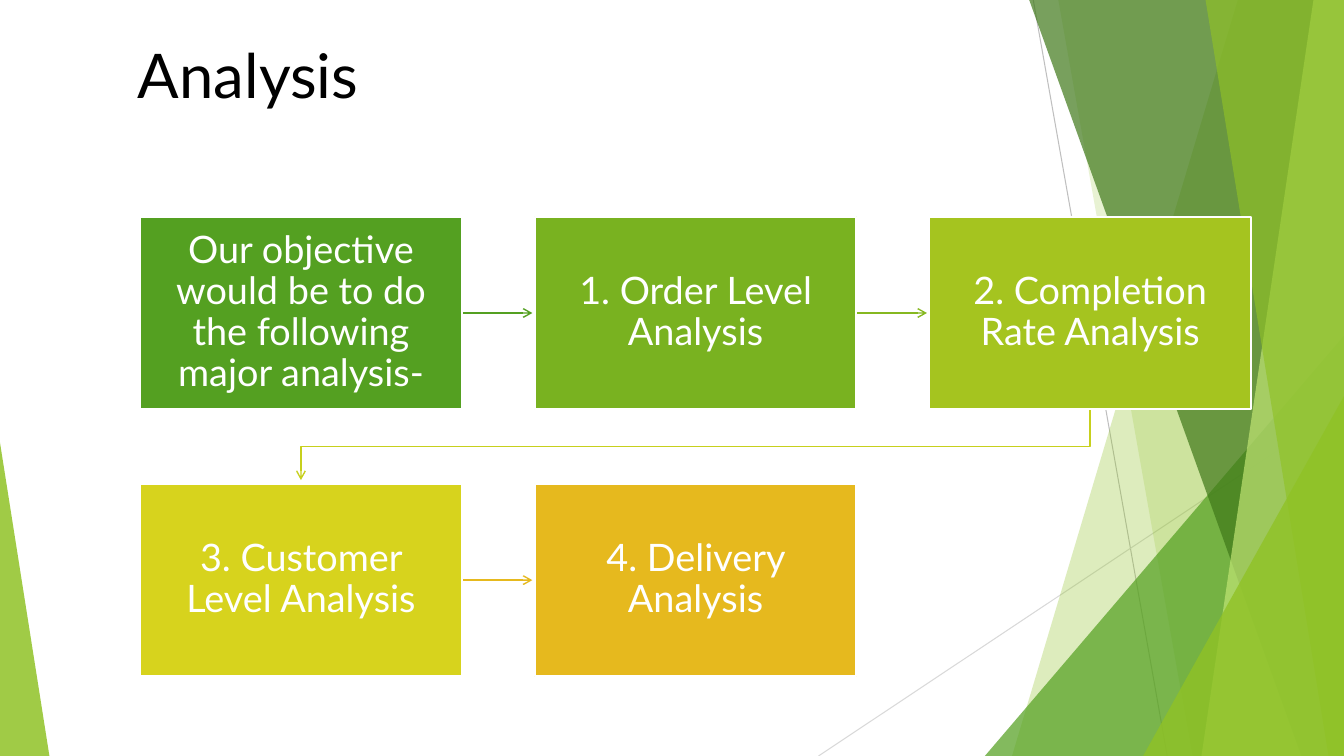
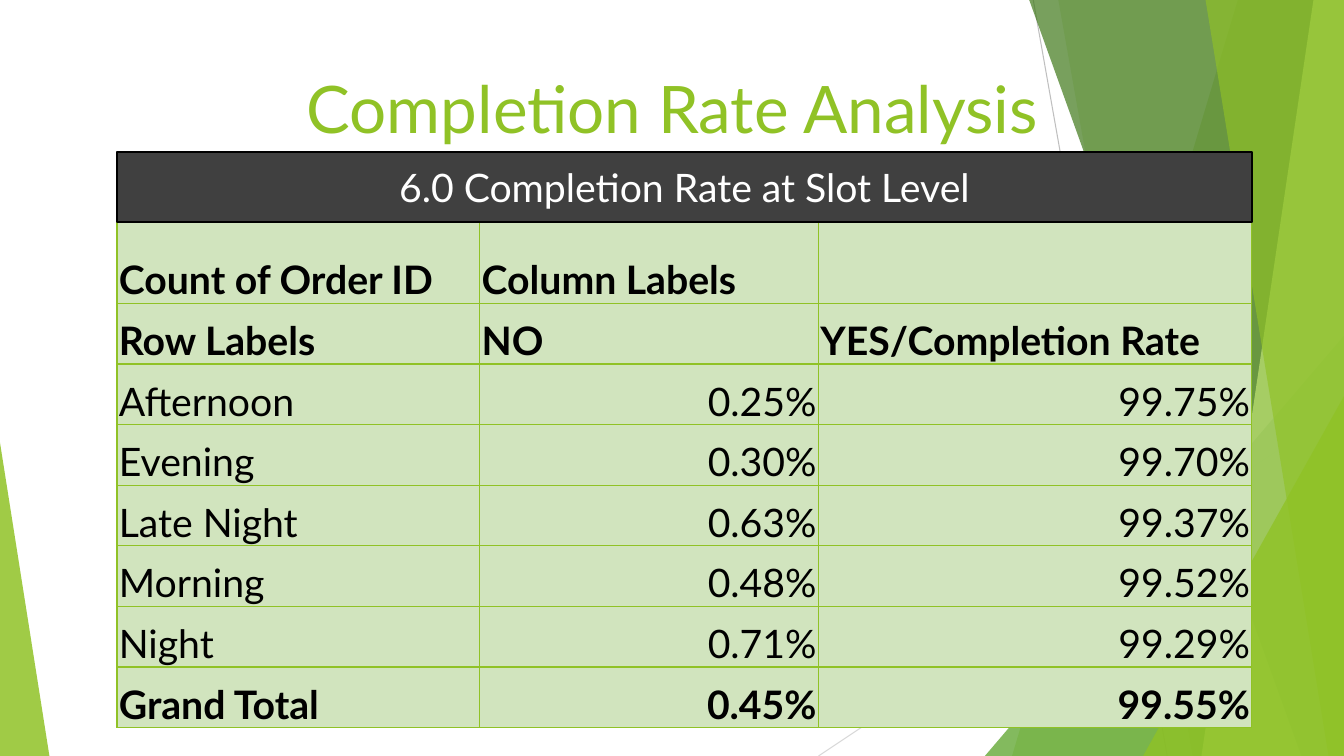
"""Build two slides: an analysis flow and a completion rate table."""
from dataclasses import dataclass

from lxml.etree import SubElement as Sub
from pptx import Presentation
from pptx.dml.color import RGBColor as Rgb
from pptx.enum.shapes import MSO_CONNECTOR as Link, MSO_SHAPE as Form
from pptx.enum.text import MSO_ANCHOR as Anchor, PP_ALIGN as Align
from pptx.oxml.ns import qn
from pptx.util import Inches, Pt


@dataclass(frozen=True)
class Theme:
    """Hold the colours, font and type sizes."""
    font: str = "Lato"
    head: float = 44
    title: float = 46.8
    step: float = 27
    grid: float = 28
    white: str = "FFFFFF"
    black: str = "000000"
    lime: str = "90C226"
    green: str = "54A021"
    moss: str = "3F7819"
    pale: str = "C0E474"
    cell: str = "D1E4BE"
    band: str = "404040"
    rays: tuple = ("BFBFBF", "D9D9D9")
    boxes: tuple = ("54A021", "79B220", "A5C41F", "D7D31D", "E6B91E")
    links: tuple = ("54A021", "86B820", "C7D01D", "E6B91E")


T = Theme()
WIDE, HIGH = Inches(13.333), Inches(7.5)

STEPS = (
    "Our objective would be to do the following major analysis-",
    "1. Order Level Analysis",
    "2. Completion Rate Analysis",
    "3. Customer Level Analysis",
    "4. Delivery Analysis",
)
RATES = (
    ("Count of Order ID", "Column Labels", ""),
    ("Row Labels", "NO", "YES/Completion Rate"),
    ("Afternoon", "0.25%", "99.75%"),
    ("Evening", "0.30%", "99.70%"),
    ("Late Night", "0.63%", "99.37%"),
    ("Morning", "0.48%", "99.52%"),
    ("Night", "0.71%", "99.29%"),
    ("Grand Total", "0.45%", "99.55%"),
)


def across(share):
    """Turn a percentage of the slide width into a length."""
    return round(WIDE * share / 100)


def down(share):
    """Turn a percentage of the slide height into a length."""
    return round(HIGH * share / 100)


def place(left, top, width, height):
    """Turn a box in percentages into lengths."""
    return across(left), down(top), across(width), down(height)


def write(frame, text, size, ink, align=Align.LEFT, bold=False):
    """Set one styled paragraph in a text frame."""
    frame.text = text
    para = frame.paragraphs[0]
    para.alignment = align
    for run in para.runs:
        font = run.font
        font.name, font.size, font.bold = T.font, Pt(size), bold
        font.color.rgb = Rgb.from_string(ink)
    return para


def paint(shape, fill, alpha=100, edge=None):
    """Give a shape its fill, opacity and edge."""
    shape.shadow.inherit = False
    shape.fill.solid()
    shape.fill.fore_color.rgb = Rgb.from_string(fill)
    if alpha < 100:
        tint = next(shape._element.spPr.iter(qn("a:srgbClr")))
        Sub(tint, qn("a:alpha"), val=str(alpha * 1000))
    if edge:
        shape.line.color.rgb = Rgb.from_string(edge)
        shape.line.width = Pt(1.5)
    else:
        shape.line.fill.background()


def stroke(shape, ink, width, arrow=False):
    """Style a line, with an arrowhead at its end if asked."""
    shape.line.color.rgb = Rgb.from_string(ink)
    shape.line.width = Pt(width)
    props = shape._element.spPr
    if arrow:
        Sub(props.find(qn("a:ln")), qn("a:tailEnd"), type="arrow")
    if props.find(qn("a:effectLst")) is None:
        Sub(props, qn("a:effectLst"))


def line(slide, start, end, ink, width, arrow=False):
    """Draw a straight line between two points."""
    ends = across(start[0]), down(start[1]), across(end[0]), down(end[1])
    stroke(slide.shapes.add_connector(Link.STRAIGHT, *ends), ink, width, arrow)


def outline(slide, points, close=True):
    """Draw a freeform through points given in percentages."""
    first, *rest = [(across(x), down(y)) for x, y in points]
    form = slide.shapes.build_freeform(*first)
    form.add_line_segments(rest, close=close)
    return form.convert_to_shape()


def wedge(slide, top, foot, fill, alpha):
    """Draw a full-height facet that ends at the right edge."""
    points = (top, 0), (100, 0), (100, 100), (foot, 100)
    paint(outline(slide, points), fill, alpha)


def peak(slide, left, top, width, tip, fill, alpha):
    """Draw a triangle that stands on the bottom edge."""
    box = place(left, top, width, 100 - top)
    shape = slide.shapes.add_shape(Form.ISOSCELES_TRIANGLE, *box)
    shape.adjustments[0] = tip
    paint(shape, fill, alpha)


def facets(slide):
    """Draw the rays and facets that all slides share."""
    line(slide, (76.88, 0), (86.85, 100), T.rays[0], 0.75)
    line(slide, (100, 53.73), (60.9, 100), T.rays[1], 0.75)
    wedge(slide, 92.1, 75.3, T.lime, 30)
    wedge(slide, 78.75, 88.73, T.lime, 20)
    peak(slide, 73.28, 44.4, 26.72, 1, T.green, 72)
    wedge(slide, 76.58, 96.83, T.moss, 70)
    wedge(slide, 97.73, 89.4, T.pale, 70)
    wedge(slide, 89.7, 98.85, T.lime, 65)
    peak(slide, 85.05, 52.4, 14.95, 1, T.lime, 80)
    peak(slide, 0, 58.53, 3.68, 0, T.lime, 85)


def title(slide, box, text, size, ink, align, anchor):
    """Write the slide title."""
    frame = slide.shapes.add_textbox(*place(*box)).text_frame
    frame.word_wrap = True
    frame.vertical_anchor = anchor
    write(frame, text, size, ink, align)


def block(slide, box, text, size, fill, edge):
    """Draw a filled box with centred text."""
    shape = slide.shapes.add_shape(Form.RECTANGLE, *place(*box))
    paint(shape, fill, edge=edge)
    frame = shape.text_frame
    frame.word_wrap = True
    frame.vertical_anchor = Anchor.MIDDLE
    para = write(frame, text, size, T.white, Align.CENTER)
    return frame, para


def flow(slide):
    """Lay the steps out in rows of three, joined by arrows."""
    width, height, reach = 23.93, 25.47, 5.25
    spots = [(10.43 + 29.36 * (i % 3), 28.67 + 35.33 * (i // 3))
             for i in range(len(STEPS))]
    for i, (left, top) in enumerate(spots):
        if i < len(T.links):
            ink = T.links[i]
            after, below = spots[i + 1]
            if below == top:
                edge, mid = left + width, top + height / 2
                line(slide, (edge, mid), (edge + reach, mid), ink, 1, True)
            else:
                base, near, far = top + height, left + width / 2, after + width / 2
                turn = base + (below - base) / 2
                bend = outline(slide, ((near, base), (near, turn), (far, turn),
                                       (far, below - 0.5)), close=False)
                bend.fill.background()
                stroke(bend, ink, 1, True)
        frame, para = block(slide, (left, top, width, height), STEPS[i],
                            T.step, T.boxes[i], T.white)
        frame.margin_left = frame.margin_right = Inches(0.16)
        frame.margin_top = frame.margin_bottom = Inches(0.16)
        para.line_spacing = 0.9


def border(cell):
    """Rule all four sides of a table cell."""
    props = cell._tc.get_or_add_tcPr()
    for side in "LRTB":
        rule = Sub(props, qn(f"a:ln{side}"), w=str(Pt(1)))
        Sub(Sub(rule, qn("a:solidFill")), qn("a:srgbClr"), val=T.lime)


def table(slide, left, top, cols, rows, data):
    """Draw a ruled table with bold heads and total."""
    box = place(left, top, sum(cols), sum(rows))
    grid = slide.shapes.add_table(len(rows), len(cols), *box).table
    grid.first_row = grid.horz_banding = False
    for col, share in zip(grid.columns, cols):
        col.width = across(share)
    for r, (row, share) in enumerate(zip(grid.rows, rows)):
        row.height = down(share)
        for c, cell in enumerate(row.cells):
            border(cell)
            cell.fill.solid()
            cell.fill.fore_color.rgb = Rgb.from_string(T.cell)
            cell.margin_left = cell.margin_right = cell.margin_top = Inches(0.02)
            cell.margin_bottom = 0
            cell.vertical_anchor = Anchor.BOTTOM
            align = Align.RIGHT if c and r > 1 else Align.LEFT
            bold = r < 2 or r == len(data) - 1
            write(cell.text_frame, data[r][c], T.grid, T.black, align, bold)


def main():
    """Build and save the deck."""
    deck = Presentation()
    deck.slide_width, deck.slide_height = WIDE, HIGH
    plan, rates = (deck.slides.add_slide(deck.slide_layouts[6]) for _ in range(2))
    for slide in (plan, rates):
        facets(slide)

    flow(plan)
    title(plan, (9.53, 4.27, 50.48, 11.2), "Analysis", T.head, T.black,
          Align.LEFT, Anchor.TOP)

    title(rates, (6.9, 8.13, 86.25, 12), "Completion Rate Analysis", T.title,
          T.lime, Align.CENTER, Anchor.MIDDLE)
    table(rates, 8.7, 29.33, (27, 25.2, 32.25), (10.8,) + (8.02,) * 7, RATES)
    block(rates, (8.7, 20.13, 84.45, 9.2), "6.0 Completion Rate at Slot Level",
          T.grid, T.band, T.black)
    deck.save("out.pptx")


if __name__ == "__main__":
    main()
